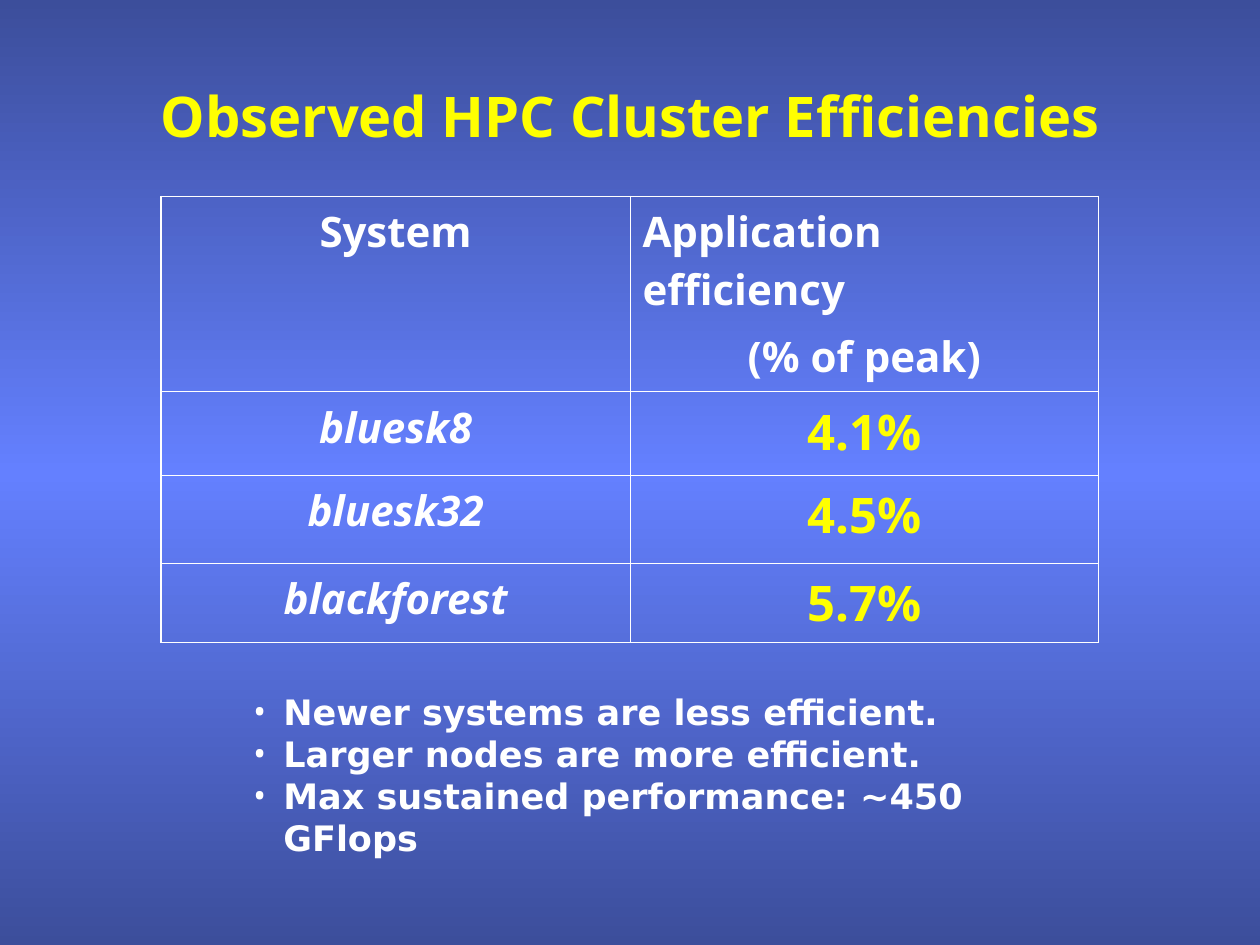
from copy import deepcopy
from dataclasses import dataclass

from lxml.etree import SubElement
from pptx import Presentation
from pptx.dml.color import RGBColor
from pptx.enum.text import MSO_ANCHOR, MSO_AUTO_SIZE, PP_ALIGN
from pptx.oxml.ns import qn
from pptx.util import Inches, Pt

WHITE = RGBColor(0xFF, 0xFF, 0xFF)
YELLOW = RGBColor(0xFF, 0xFF, 0x00)
DARK_BLUE = RGBColor(0x3C, 0x4E, 0x9B)
BRIGHT_BLUE = RGBColor(0x64, 0x80, 0xFF)

HEADING_FONT = "Open Sans"
BULLET_FONT = "DejaVu Sans"
OUTER_BORDER = Pt(1.08)
INNER_BORDER = Pt(0.45)
BULLET_INDENT = Inches(0.24)
ROW_HEIGHTS = (1.55, 0.66, 0.7, 0.63)
COLUMN_WIDTH = 3.72


@dataclass(frozen=True)
class TextStyle:
    size: float
    color: RGBColor = WHITE
    font: str = HEADING_FONT
    italic: bool = False


@dataclass(frozen=True)
class SystemEfficiency:
    system: str
    efficiency: str


TITLE_STYLE = TextStyle(32, YELLOW)
HEADER_STYLE = TextStyle(24)
SYSTEM_STYLE = TextStyle(24, italic=True)
EFFICIENCY_STYLE = TextStyle(28, YELLOW)
BULLET_STYLE = TextStyle(20, font=BULLET_FONT)

SYSTEMS = (
    SystemEfficiency("bluesk8", "4.1%"),
    SystemEfficiency("bluesk32", "4.5%"),
    SystemEfficiency("blackforest", "5.7%"),
)
FINDINGS = (
    "Newer systems are less efficient.",
    "Larger nodes are more efficient.",
    "Max sustained performance: ~450 GFlops",
)


def add_styled_run(paragraph, text: str, style: TextStyle) -> None:
    run = paragraph.add_run()
    run.text = text
    run.font.name = style.font
    run.font.size = Pt(style.size)
    run.font.bold = True
    run.font.italic = style.italic
    run.font.color.rgb = style.color


def paint_background(slide) -> None:
    """Fill the slide with a vertical gradient, brightest in the middle."""
    fill = slide.background.fill
    fill.gradient()
    fill.gradient_angle = 90
    stop_list = slide.element.find(".//" + qn("a:gsLst"))
    stop_list.append(deepcopy(stop_list[-1]))
    colors = (DARK_BLUE, BRIGHT_BLUE, DARK_BLUE)
    for index, (stop, color) in enumerate(zip(fill.gradient_stops, colors)):
        stop.position = index / 2
        stop.color.rgb = color


def add_title(slide, text: str) -> None:
    box = slide.shapes.add_textbox(Inches(0.42), Inches(0.5), Inches(9.17), Inches(0.83))
    frame = box.text_frame
    frame.word_wrap = True
    frame.vertical_anchor = MSO_ANCHOR.MIDDLE
    paragraph = frame.paragraphs[0]
    paragraph.alignment = PP_ALIGN.CENTER
    add_styled_run(paragraph, text, TITLE_STYLE)


def set_borders(cell, row: int, column: int, last_row: int, last_column: int) -> None:
    """Draw heavier lines on the outside of the table than inside it."""
    outer_sides = {
        "a:lnL": column == 0,
        "a:lnR": column == last_column,
        "a:lnT": row == 0,
        "a:lnB": row == last_row,
    }
    properties = cell._tc.get_or_add_tcPr()
    for position, (tag, is_outer) in enumerate(outer_sides.items()):
        width = OUTER_BORDER if is_outer else INNER_BORDER
        line = properties.makeelement(qn(tag), {"w": str(int(width))})
        solid_fill = SubElement(line, qn("a:solidFill"))
        SubElement(solid_fill, qn("a:srgbClr"), val=str(WHITE))
        properties.insert(position, line)


def fill_cell(cell, lines: tuple[str, ...], style: TextStyle) -> None:
    """Write one paragraph per line; a lead line above others stays left."""
    cell.fill.background()
    frame = cell.text_frame
    for index, text in enumerate(lines):
        paragraph = frame.add_paragraph() if index else frame.paragraphs[0]
        if index:
            paragraph.space_before = Pt(6)
        is_last = index == len(lines) - 1
        paragraph.alignment = PP_ALIGN.CENTER if is_last else PP_ALIGN.LEFT
        add_styled_run(paragraph, text, style)


def add_efficiency_table(slide, systems: tuple[SystemEfficiency, ...]) -> None:
    rows = [
        ((("System",), HEADER_STYLE),
         (("Application efficiency", "(% of peak)"), HEADER_STYLE)),
    ]
    rows += [
        (((entry.system,), SYSTEM_STYLE), ((entry.efficiency,), EFFICIENCY_STYLE))
        for entry in systems
    ]
    column_count = len(rows[0])
    table = slide.shapes.add_table(
        len(rows), column_count, Inches(1.28), Inches(1.56),
        Inches(COLUMN_WIDTH * column_count), Inches(sum(ROW_HEIGHTS)),
    ).table
    for table_row, height in zip(table.rows, ROW_HEIGHTS):
        table_row.height = Inches(height)
    for row_index, row in enumerate(rows):
        for column_index, (lines, style) in enumerate(row):
            cell = table.cell(row_index, column_index)
            fill_cell(cell, lines, style)
            set_borders(cell, row_index, column_index, len(rows) - 1, column_count - 1)


def add_bullet(paragraph) -> None:
    properties = paragraph._p.get_or_add_pPr()
    properties.set("marL", str(int(BULLET_INDENT)))
    properties.set("indent", str(-int(BULLET_INDENT)))
    bullet_color = SubElement(properties, qn("a:buClr"))
    SubElement(bullet_color, qn("a:srgbClr"), val=str(WHITE))
    SubElement(properties, qn("a:buFont"), typeface=HEADING_FONT)
    SubElement(properties, qn("a:buChar"), char="•")


def add_findings(slide, findings: tuple[str, ...]) -> None:
    box = slide.shapes.add_textbox(Inches(1.91), Inches(5.43), Inches(5.99), Inches(1.1))
    frame = box.text_frame
    frame.word_wrap = True
    frame.auto_size = MSO_AUTO_SIZE.SHAPE_TO_FIT_TEXT
    for index, text in enumerate(findings):
        paragraph = frame.add_paragraph() if index else frame.paragraphs[0]
        add_bullet(paragraph)
        add_styled_run(paragraph, text, BULLET_STYLE)


def main() -> None:
    presentation = Presentation()
    presentation.slide_width = Inches(10)
    presentation.slide_height = Inches(7.5)
    slide = presentation.slides.add_slide(presentation.slide_layouts[6])
    paint_background(slide)
    add_title(slide, "Observed HPC Cluster Efficiencies")
    add_efficiency_table(slide, SYSTEMS)
    add_findings(slide, FINDINGS)
    presentation.save("out.pptx")


if __name__ == "__main__":
    main()
